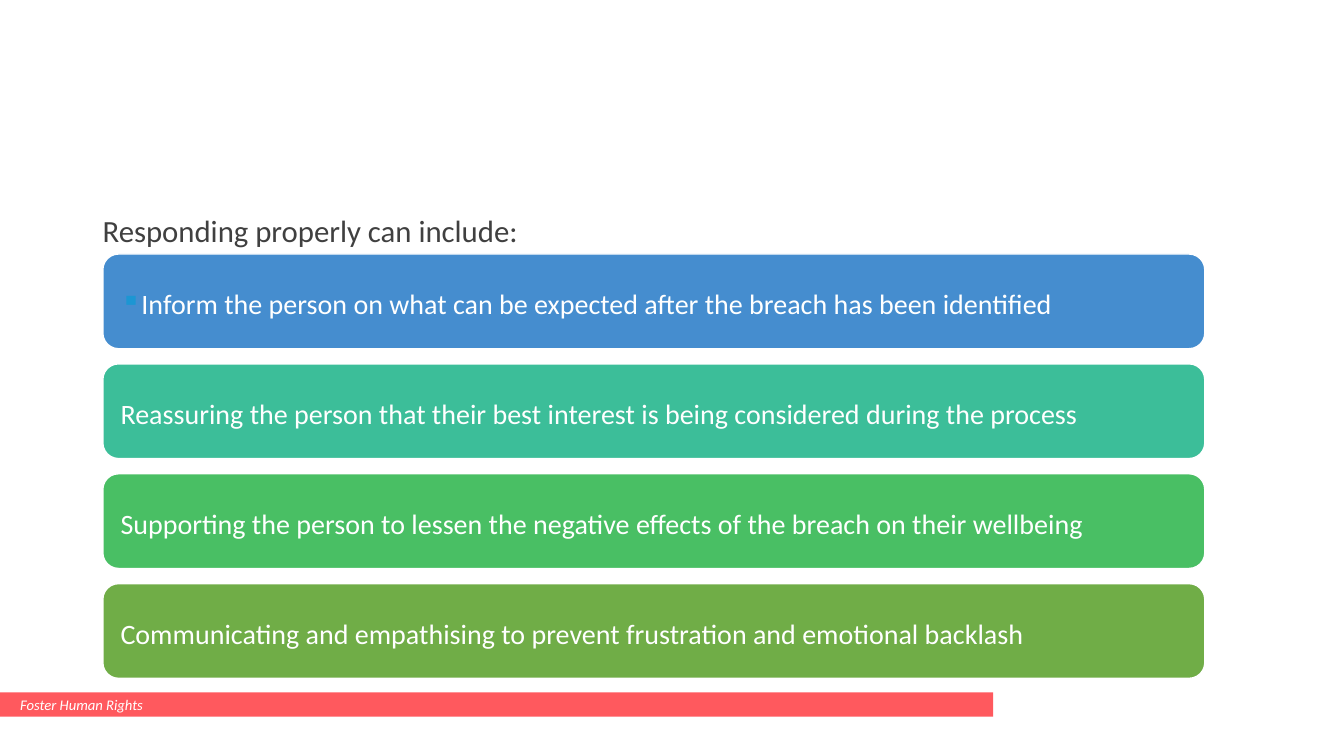
from lxml import etree
from pptx import Presentation
from pptx.dml.color import RGBColor
from pptx.enum.shapes import MSO_SHAPE as SHAPE
from pptx.enum.text import MSO_ANCHOR as ANCHOR, PP_ALIGN as ALIGN
from pptx.oxml.ns import qn
from pptx.util import Inches, Pt

CARDS = [
    ("458DCF", "Inform the person on what can be expected after the breach has been identified"),
    ("3CBE99", "Reassuring the person that their best interest is being considered during the process"),
    ("49BF64", "Supporting the person to lessen the negative effects of the breach on their wellbeing"),
    ("70AD47", "Communicating and empathising to prevent frustration and emotional backlash"),
]
CARD_TOP, CARD_PITCH = 2.52, 1.09
BODY_SPACING = {"line_spacing": 1.14, "space_after": Pt(6)}


def rgb(value):
    return RGBColor.from_string(value)


def set_attrs(obj, values):
    for name, value in values.items():
        setattr(obj, name, value)


def add_bullet(p, char, color):
    pPr = p._p.get_or_add_pPr()
    clr = etree.SubElement(pPr, qn("a:buClr"))
    etree.SubElement(clr, qn("a:srgbClr"), val=color)
    etree.SubElement(pPr, qn("a:buChar"), char=char)


def write_text(sp, text, size, color, anchor, inset, spacing=None, italic=None):
    """Fill a shape with one left-aligned paragraph; inset is the side margin in inches."""
    tf = sp.text_frame
    set_attrs(tf, {"word_wrap": True, "vertical_anchor": anchor,
                   "margin_left": Inches(inset), "margin_right": Inches(inset)})
    p = tf.paragraphs[0]
    set_attrs(p, {"alignment": ALIGN.LEFT, **(spacing or {})})
    r = p.add_run()
    r.text = text
    set_attrs(r.font, {"name": "Calibri", "size": Pt(size), "italic": italic})
    r.font.color.rgb = rgb(color)
    return p


def add_block(slide, kind, box, fill, line=None):
    sp = slide.shapes.add_shape(kind, *map(Inches, box))
    sp.shadow.inherit = False
    sp.fill.solid()
    sp.fill.fore_color.rgb = rgb(fill)
    if line:
        sp.line.color.rgb = rgb(line)
        sp.line.width = Pt(1)
    else:
        sp.line.fill.background()
    return sp


def add_heading(slide, text):
    sp = slide.shapes.add_textbox(*map(Inches, (0.92, 2, 11.03, 0.5)))
    write_text(sp, text, 22, "404040", ANCHOR.TOP, 0.1, BODY_SPACING)


def add_footer(slide, text):
    sp = add_block(slide, SHAPE.RECTANGLE, (0, 6.87, 9.85, 0.24), "FF595E")
    write_text(sp, text, 10.5, "FFFFFF", ANCHOR.MIDDLE, 0.2, italic=True)


def add_card(slide, top, fill, text):
    sp = add_block(slide, SHAPE.ROUNDED_RECTANGLE, (1.02, top, 10.93, 0.94), fill, "FFFFFF")
    return write_text(sp, text, 20, "FFFFFF", ANCHOR.MIDDLE, 0.13, BODY_SPACING)


def main():
    prs = Presentation()
    prs.slide_width, prs.slide_height = Inches(13.33), Inches(7.5)
    slide = prs.slides.add_slide(prs.slide_layouts[6])
    add_heading(slide, "Responding properly can include:")
    add_footer(slide, "Foster Human Rights")
    cards = [add_card(slide, CARD_TOP + i * CARD_PITCH, fill, text)
             for i, (fill, text) in enumerate(CARDS)]
    add_bullet(cards[0], "▪", "1C96D3")
    prs.save("out.pptx")


if __name__ == "__main__":
    main()
